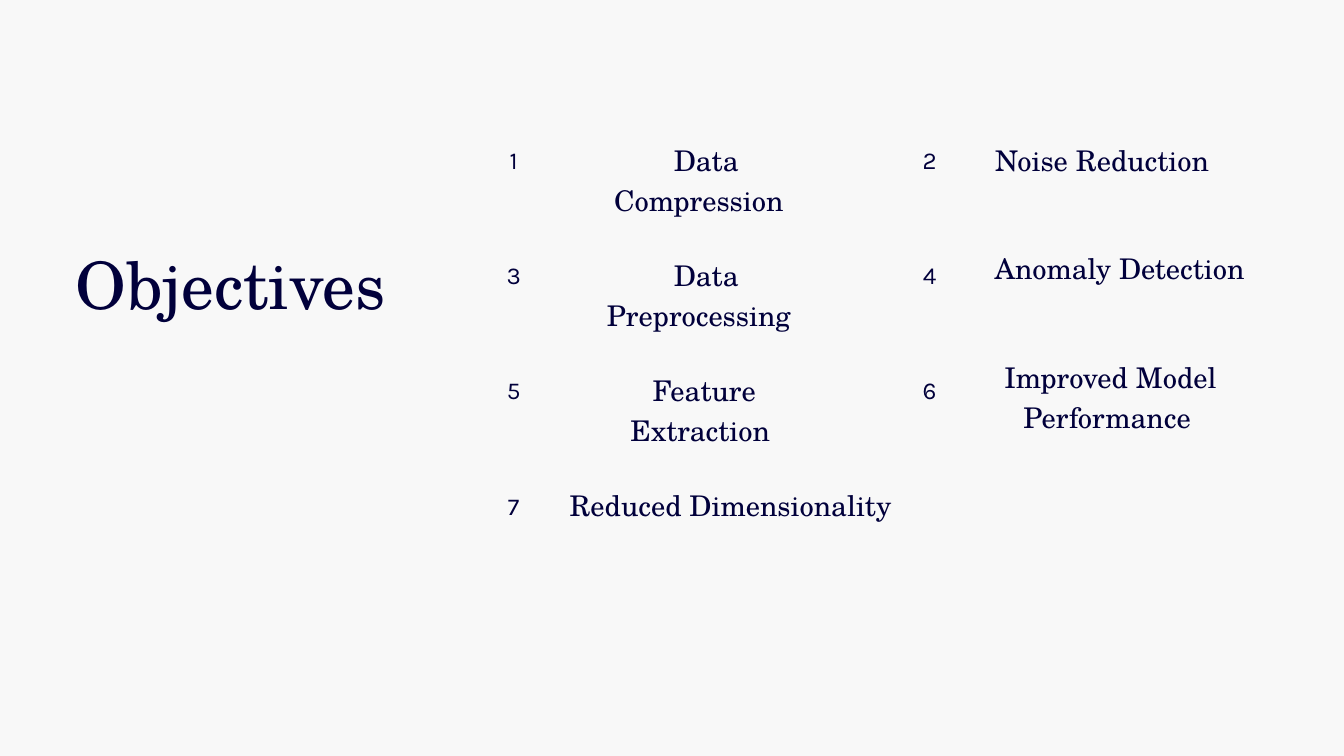
from pptx import Presentation
from pptx import util as u
from pptx.dml import color
from pptx.enum import shapes, text

INK = "01003B"
PAPER = "F8F8F8"
SERIF = "TeX Gyre Schola"
COLS = (7.21, 13.4)
TOP, STEP, DISC = 1.93, 1.715, 0.87

GOALS = [
    (["Data Compression"], 8.7, 2.04, 3.4, 0.22),
    (["Noise Reduction"], 14.8, 2.04, 3.2, 0),
    (["Data Preprocessing"], 8.7, 3.76, 3.4, 0.22),
    (["Anomaly Detection"], 14.78, 3.65, 3.76, 0),
    (["Feature Extraction"], 8.72, 5.47, 3.4, 0.12),
    (["Improved Model", "Performance"], 14.72, 5.28, 3.51, 0.1),
    (["Reduced Dimensionality"], 8.47, 7.18, 4.8, 0),
]


def paint(fill, shade):
    fill.solid()
    fill.fore_color.rgb = color.RGBColor.from_string(shade)


def write(frame, lines, size, font, lead, align, foot=0):
    frame.word_wrap = True
    frame.margin_left = frame.margin_right = frame.margin_top = 0
    frame.margin_bottom = u.Inches(foot)
    for i, line in enumerate(lines):
        para = frame.add_paragraph() if i else frame.paragraphs[0]
        para.alignment = align
        para.line_spacing = u.Pt(lead)
        para.space_before = u.Pt(0)
        run = para.add_run()
        run.text = line
        run.font.size = u.Pt(size)
        run.font.name = font
        run.font.color.rgb = color.RGBColor.from_string(INK)


def add_title(slide):
    title = slide.shapes.title
    title.left, title.top = u.Inches(1.12), u.Inches(3.63)
    title.width, title.height = u.Inches(5.27), u.Inches(1.18)
    frame = title.text_frame
    frame.auto_size = text.MSO_AUTO_SIZE.NONE
    frame.vertical_anchor = text.MSO_ANCHOR.TOP
    write(frame, ["Objectives"], 70, SERIF, 84, text.PP_ALIGN.LEFT)


def add_disc(slide, index):
    row, col = divmod(index, 2)
    disc = slide.shapes.add_shape(
        shapes.MSO_SHAPE.OVAL, u.Inches(COLS[col]), u.Inches(TOP + row * STEP),
        u.Inches(DISC), u.Inches(DISC))
    disc.shadow.inherit = False
    paint(disc.fill, PAPER)
    disc.line.fill.background()
    disc.text_frame.vertical_anchor = text.MSO_ANCHOR.MIDDLE
    write(disc.text_frame, [str(index + 1)], 26, "Karla", 36.4,
          text.PP_ALIGN.CENTER, 0.05)


def add_goal(slide, lines, left, top, width, indent):
    box = slide.shapes.add_textbox(
        u.Inches(left), u.Inches(top), u.Inches(width), u.Inches(0.57 * len(lines)))
    write(box.text_frame, lines, 30.5, SERIF, 42.7, text.PP_ALIGN.CENTER)
    if indent:
        props = box.text_frame.paragraphs[0]._p.get_or_add_pPr()
        props.set("marL", "0")
        props.set("indent", str(u.Inches(indent)))


def main():
    deck = Presentation()
    deck.slide_width, deck.slide_height = u.Inches(20), u.Inches(11.25)
    slide = deck.slides.add_slide(deck.slide_layouts[5])
    paint(slide.background.fill, PAPER)
    add_title(slide)
    for index, goal in enumerate(GOALS):
        add_disc(slide, index)
        add_goal(slide, *goal)
    deck.save("out.pptx")


if __name__ == "__main__":
    main()
